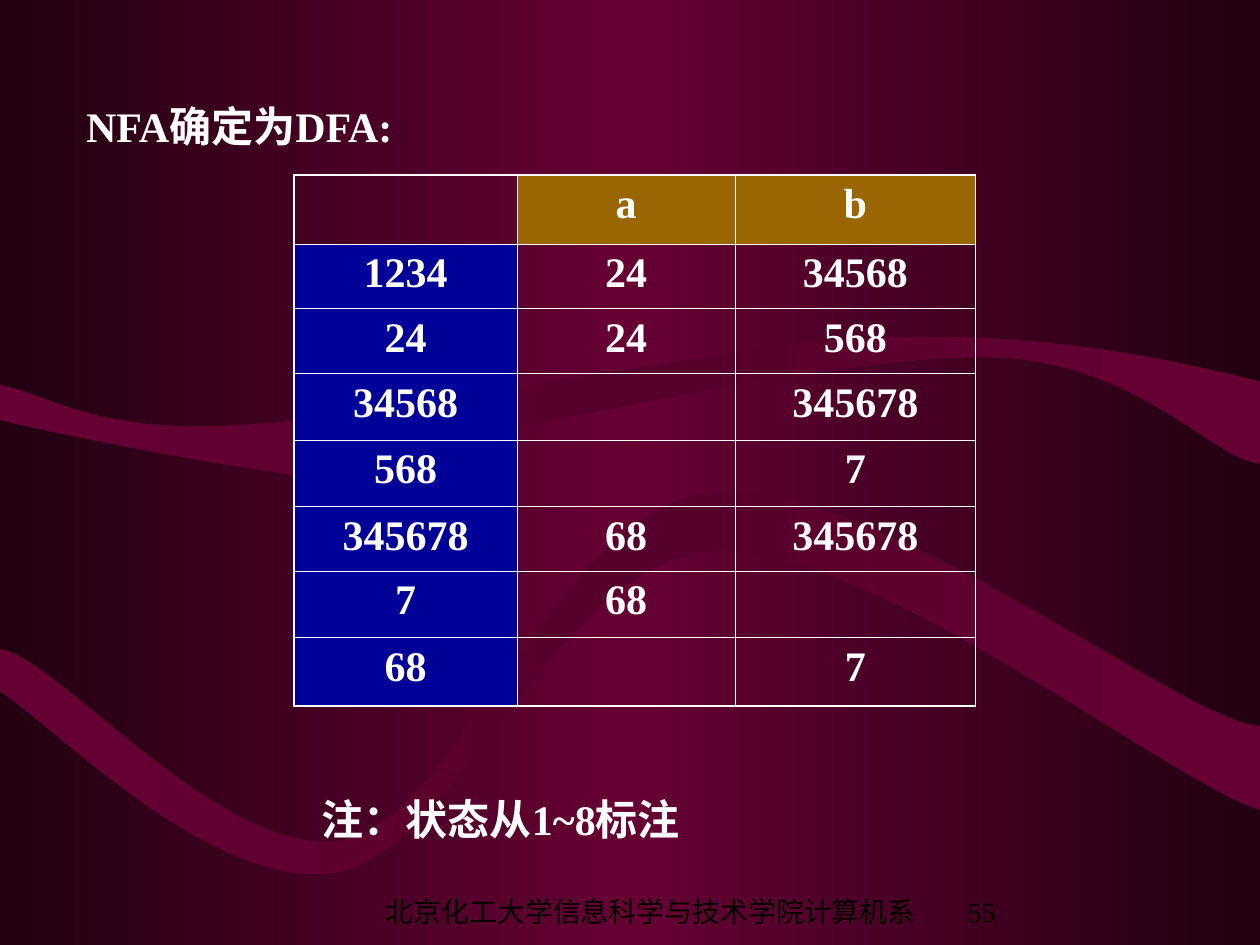
from copy import deepcopy

from lxml import etree
from pptx import Presentation
from pptx.dml.color import RGBColor
from pptx.enum.text import MSO_ANCHOR, PP_ALIGN
from pptx.oxml.ns import qn
from pptx.util import Pt

LEFT, CENTER, RIGHT = PP_ALIGN.LEFT, PP_ALIGN.CENTER, PP_ALIGN.RIGHT
MIDDLE, BOTTOM = MSO_ANCHOR.MIDDLE, MSO_ANCHOR.BOTTOM
TITLE_ONLY = 5
FONT = "Times New Roman"
COLORS = {
    "edge": "220011", "wine": "660033", "shade": "56002B",
    "head": "996600", "state": "000099",
    "text": "FFFFFF", "footer": "000000",
}
HEAVY, THIN = 1.08, 0.45

TRANSITIONS = [
    ["", "a", "b"],
    ["1234", "24", "34568"],
    ["24", "24", "568"],
    ["34568", "", "345678"],
    ["568", "", "7"],
    ["345678", "68", "345678"],
    ["7", "68", ""],
    ["68", "", "7"],
]
COL_WIDTHS = [127.5, 124.5, 137.5]
ROW_HEIGHTS = [39.5, 37, 37, 38, 38, 37, 38, 39]

# Each segment is one point (a line) or three points (a cubic curve).
UPPER_RIBBON = [
    [(0, 51)],
    [(27, 58), (126, 77), (160, 81)],
    [(194, 85), (137, 84), (203, 73)],
    [(270, 62), (475, 14), (562, 15)],
    [(648, 15), (693, 74), (720, 76)],
    [(720, 29)],
    [(684, 20), (602, 0), (505, 4)],
    [(408, 8), (221, 50), (137, 54)],
    [(53, 59), (29, 36), (0, 31)],
]
LOWER_RIBBON = [
    [(0, 124)],
    [(32, 145), (125, 241), (194, 227)],
    [(261, 214), (319, 50), (407, 44)],
    [(495, 38), (667, 175), (720, 192)],
    [(720, 144)],
    [(675, 141), (498, 0), (405, 11)],
    [(318, 21), (264, 194), (197, 209)],
    [(129, 223), (32, 103), (0, 100)],
]


def rgb(name):
    return RGBColor.from_string(COLORS[name])


def mirror_gradient(owner, fill, outer, middle):
    """Fill left to right from outer to middle and back to outer."""
    fill.gradient()
    fill.gradient_angle = 0
    stops = owner.element.xpath(".//a:gsLst")[0]
    stops.insert(1, deepcopy(stops[0]))
    for stop, pos, name in zip(fill.gradient_stops, (0, 0.5, 1),
                               (outer, middle, outer)):
        stop.position = pos
        stop.color.rgb = rgb(name)


def add_ribbon(slide, left, top, segments):
    """Draw a closed band whose curves are true Bezier segments."""
    points = [(Pt(left + x), Pt(top + y)) for seg in segments for x, y in seg]
    builder = slide.shapes.build_freeform(*points[-1])
    builder.add_line_segments(points, close=True)
    sp = builder.convert_to_shape()
    sp.shadow.inherit = False
    sp.line.fill.background()
    mirror_gradient(sp, sp.fill, "wine", "shade")
    lines = iter(sp.element.xpath(".//a:lnTo"))
    for seg in segments:
        first = next(lines)
        if len(seg) == 3:
            first.tag = qn("a:cubicBezTo")
            for _ in range(2):
                line = next(lines)
                first.append(line[0])
                line.getparent().remove(line)


def write(tf, text, size=24, color="text", bold=True, align=LEFT, before=0):
    p = tf.paragraphs[0]
    p.alignment = align
    p.space_before = Pt(before)
    r = p.add_run()
    r.text = text
    r.font.name = FONT
    r.font.size = Pt(size)
    r.font.bold = bold
    r.font.color.rgb = rgb(color)


def add_title(slide, left, top, width, height):
    sp = slide.shapes.title
    sp.left, sp.top, sp.width, sp.height = map(Pt, (left, top, width, height))
    sp.text_frame.vertical_anchor = MIDDLE
    write(sp.text_frame, "NFA确定为DFA:")


def add_text(slide, left, top, width, height, text, anchor, indent=7.2, **style):
    sp = slide.shapes.add_textbox(*map(Pt, (left, top, width, height)))
    tf = sp.text_frame
    tf.word_wrap = True
    tf.vertical_anchor = anchor
    tf.margin_left = Pt(indent)
    write(tf, text, **style)


def set_borders(cell, widths):
    """Put line elements, given by side in schema order, ahead of the fill."""
    tc_pr = cell._tc.get_or_add_tcPr()
    for i, (side, width) in enumerate(widths.items()):
        ln = etree.Element(qn(f"a:ln{side}"), w=str(Pt(width)))
        solid = etree.SubElement(ln, qn("a:solidFill"))
        etree.SubElement(solid, qn("a:srgbClr"), val=COLORS["text"])
        tc_pr.insert(i, ln)


def add_transition_table(slide, left, top):
    n_rows, n_cols = len(ROW_HEIGHTS), len(COL_WIDTHS)
    box = (left, top, sum(COL_WIDTHS), sum(ROW_HEIGHTS))
    table = slide.shapes.add_table(n_rows, n_cols, *map(Pt, box)).table
    table.first_row = table.horz_banding = False
    for col, width in zip(table.columns, COL_WIDTHS):
        col.width = Pt(width)
    for i, values in enumerate(TRANSITIONS):
        table.rows[i].height = Pt(ROW_HEIGHTS[i])
        for j, value in enumerate(values):
            cell = table.cell(i, j)
            if (i == 0) != (j == 0):
                cell.fill.solid()
                cell.fill.fore_color.rgb = rgb("head" if i == 0 else "state")
            else:
                cell.fill.background()
            if value:
                write(cell.text_frame, value, align=CENTER, before=6)
            outer = {"L": j == 0, "R": j == n_cols - 1,
                     "T": i == 0, "B": i == n_rows - 1}
            set_borders(cell, {side: HEAVY if edge else THIN
                               for side, edge in outer.items()})


def add_footer(slide, left, top, height):
    style = {"size": 16, "color": "footer", "bold": False, "before": 10}
    add_text(slide, left, top, 336, height,
             "北京化工大学信息科学与技术学院计算机系", BOTTOM, align=CENTER, **style)
    add_text(slide, left + 336, top, 36, height, "55", BOTTOM,
             align=RIGHT, **style)


def main():
    prs = Presentation()
    prs.slide_width, prs.slide_height = Pt(720), Pt(540)
    slide = prs.slides.add_slide(prs.slide_layouts[TITLE_ONLY])
    mirror_gradient(slide, slide.background.fill, "edge", "wine")
    add_ribbon(slide, 0, 189, UPPER_RIBBON)
    add_ribbon(slide, 0, 271, LOWER_RIBBON)
    add_footer(slide, 204, 510, 24)
    add_title(slide, 42, 48, 360, 48)
    add_transition_table(slide, 168, 100)
    add_text(slide, 144, 444, 480, 48, "注：状态从1~8标注", MIDDLE, indent=40)
    prs.save("out.pptx")


if __name__ == "__main__":
    main()
